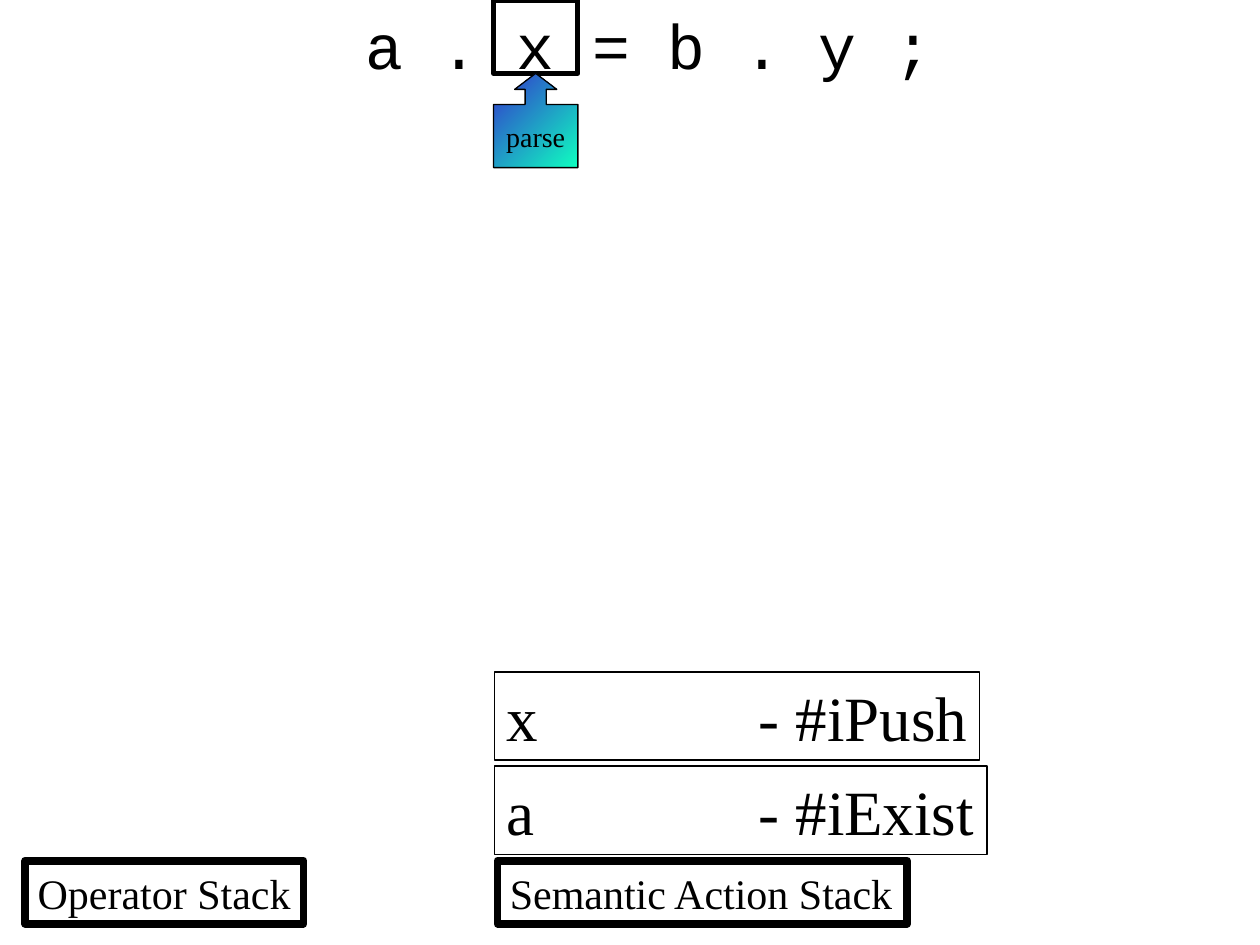
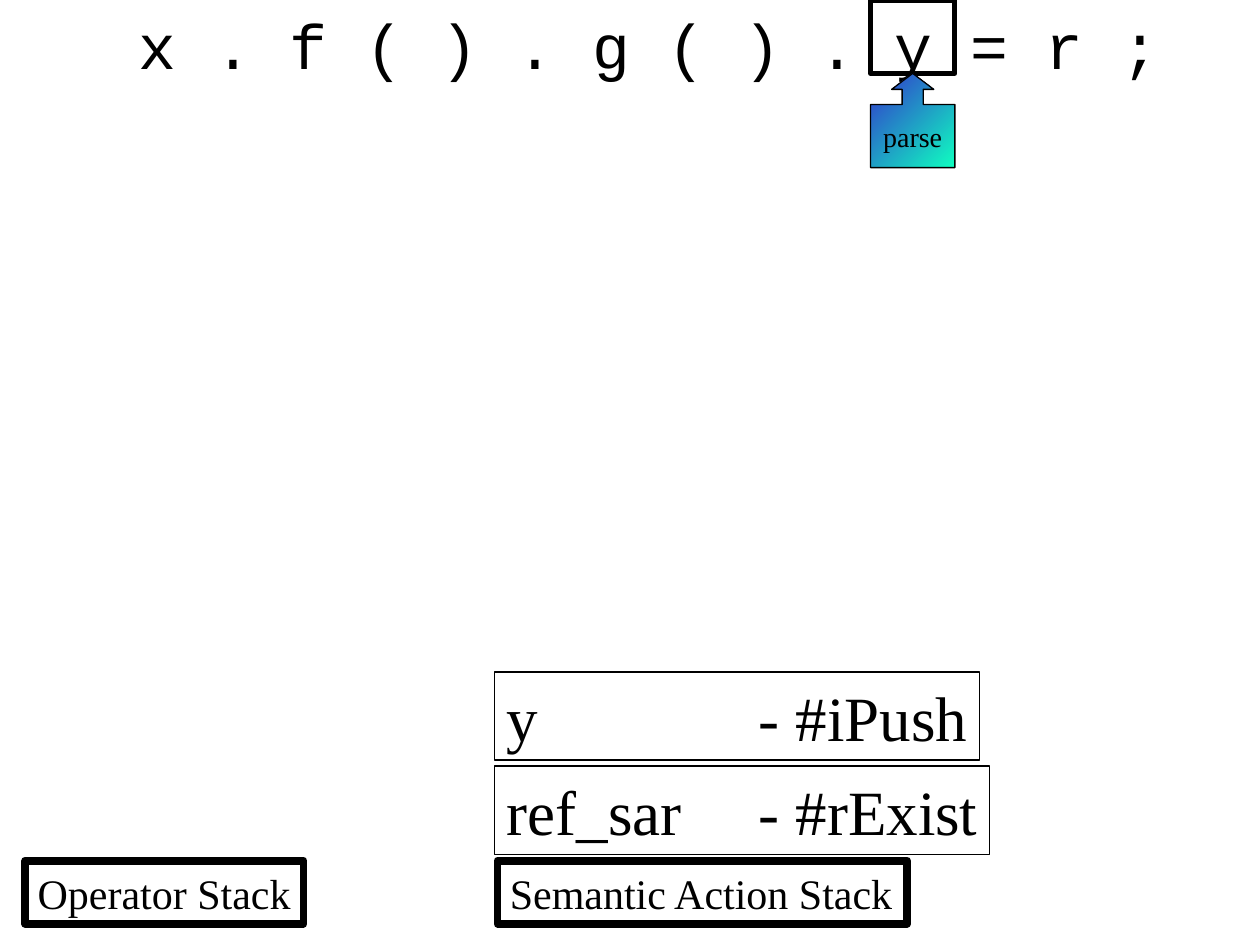
from lxml import etree
from pptx import Presentation
from pptx.dml.color import RGBColor
from pptx.enum.shapes import MSO_SHAPE
from pptx.enum.text import MSO_ANCHOR, MSO_AUTO_SIZE, PP_ALIGN
from pptx.oxml.ns import qn
from pptx.util import Cm, Pt

RECT, CALLOUT = MSO_SHAPE.RECTANGLE, MSO_SHAPE.UP_ARROW_CALLOUT
TOP, MIDDLE = MSO_ANCHOR.TOP, MSO_ANCHOR.MIDDLE
LEFT, CENTER = PP_ALIGN.LEFT, PP_ALIGN.CENTER
FIT, FIXED = MSO_AUTO_SIZE.SHAPE_TO_FIT_TEXT, MSO_AUTO_SIZE.NONE

# Content: statement, token being parsed, stack from the bottom up (text, width in cm)
SLIDES = [
    {"code": " a . x = b . y ;", "token": "x",
     "stack": [("a\t\t- #iExist", 9.93), ("x\t\t- #iPush", 9.78)]},
    {"code": " x . f ( ) . g ( ) . y = r ;", "token": "y",
     "stack": [("ref_sar\t- #rExist", 9.98), ("y\t\t- #iPush", 9.78)]},
]
STACK_LABELS = [("Operator Stack", 0.51, 5.61), ("Semantic Action Stack", 10.03, 8.26)]

# Shared look
COLORS = {"ink": "000000", "parse_start": "3333CC", "parse_end": "0FFFC0"}
SERIF, MONO = "Times New Roman", "Courier New"
SLIDE_W, SLIDE_H = Cm(25.4), Cm(19.05)
CODE_H, CHAR_W = Cm(1.78), Cm(0.76)
LABEL_TOP, LABEL_H = Cm(17.35), Cm(1.27)
ROW_LEFT, ROW_TOP, ROW_H, ROW_STEP = Cm(9.97), Cm(15.45), Cm(1.78), Cm(1.9)
MARK_W, MARK_H, PARSE_H = Cm(1.7), Cm(1.48), Cm(1.9)
TAB_STEP, TAB_COUNT = Cm(2.54), 7
FRAME = {"margin_left": Cm(0.25), "margin_right": Cm(0.25),
         "margin_top": Cm(0.13), "margin_bottom": Cm(0.13)}
# Rows keep their right margin free so that each entry stays on one line
ROW_FRAME = {"word_wrap": True, "margin_right": 0}


def color(name):
    return RGBColor.from_string(COLORS[name])


def set_attrs(obj, values):
    for name, value in values.items():
        setattr(obj, name, value)


def write(sp, text, size, font=SERIF, align=LEFT, **frame):
    tf = sp.text_frame
    set_attrs(tf, {**FRAME, "vertical_anchor": TOP, "word_wrap": False,
                   "auto_size": FIT, **frame})
    p = tf.paragraphs[0]
    p.alignment = align
    if "\t" in text:
        tabs = etree.SubElement(p._p.get_or_add_pPr(), qn("a:tabLst"))
        for i in range(1, TAB_COUNT + 1):
            etree.SubElement(tabs, qn("a:tab"), pos=str(TAB_STEP * i), algn="l")
    r = p.add_run()
    r.text = text
    set_attrs(r.font, {"name": font, "size": Pt(size), "bold": False})
    r.font.color.rgb = color("ink")


def add_box(shapes, x, y, w, h, line, kind=RECT):
    sp = shapes.add_shape(kind, x, y, w, h)
    sp.shadow.inherit = False
    sp.fill.background()
    sp.line.color.rgb = color("ink")
    sp.line.width = Pt(line)
    return sp


def add_code(s, code):
    title = s.shapes.title
    set_attrs(title, {"left": 0, "top": 0, "width": SLIDE_W, "height": CODE_H})
    write(title, code, 36, MONO, CENTER, word_wrap=True, auto_size=FIXED)


def add_parse_marker(s, code, token):
    # Centre the marker on the token's column in the centred statement
    column = code.index(token) + 0.5 - len(code) / 2
    x = int(SLIDE_W / 2 + column * CHAR_W - MARK_W / 2)
    group = s.shapes.add_group_shape()
    add_box(group.shapes, x, 0, MARK_W, MARK_H, 3)
    sp = add_box(group.shapes, x, MARK_H, MARK_W, PARSE_H, 0.75, CALLOUT)
    for i, value in enumerate((0.25, 0.25, 0.19, 0.67)):
        sp.adjustments[i] = value
    sp.fill.gradient()
    sp.fill.gradient_angle = 315
    for stop, name in zip(sp.fill.gradient_stops, ("parse_start", "parse_end")):
        stop.color.rgb = color(name)
    write(sp, "parse", 16, align=CENTER, vertical_anchor=MIDDLE, auto_size=FIXED)


def add_stacks(s, rows):
    for text, x, w in STACK_LABELS:
        write(add_box(s.shapes, Cm(x), LABEL_TOP, Cm(w), LABEL_H, 4.5), text, 24)
    for i, (text, w) in enumerate(rows):
        y = ROW_TOP - i * ROW_STEP
        sp = add_box(s.shapes, ROW_LEFT, y, Cm(w), ROW_H, 1)
        write(sp, text, 36, **ROW_FRAME)


def main():
    prs = Presentation()
    set_attrs(prs, {"slide_width": SLIDE_W, "slide_height": SLIDE_H})
    title_only = prs.slide_layouts[5]
    for data in SLIDES:
        s = prs.slides.add_slide(title_only)
        add_code(s, data["code"])
        add_stacks(s, data["stack"])
        add_parse_marker(s, data["code"], data["token"])
    prs.save("out.pptx")


if __name__ == "__main__":
    main()
